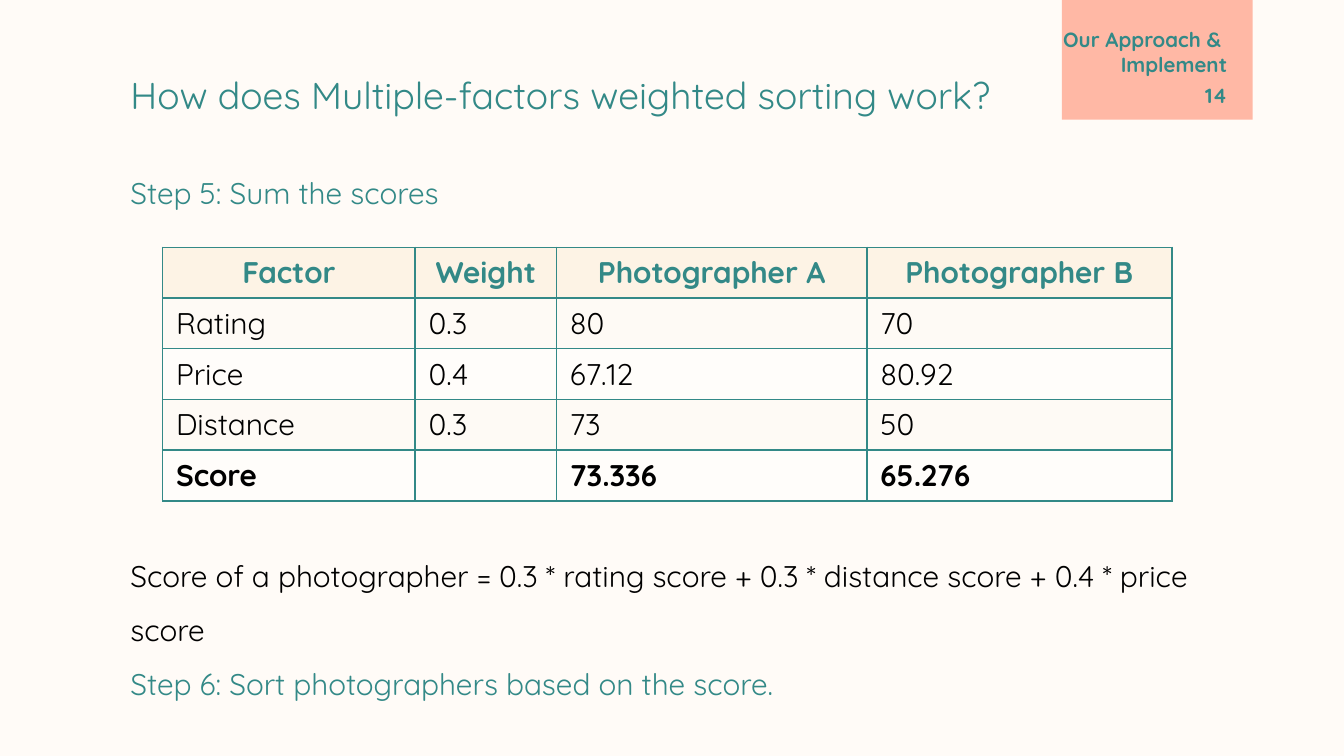
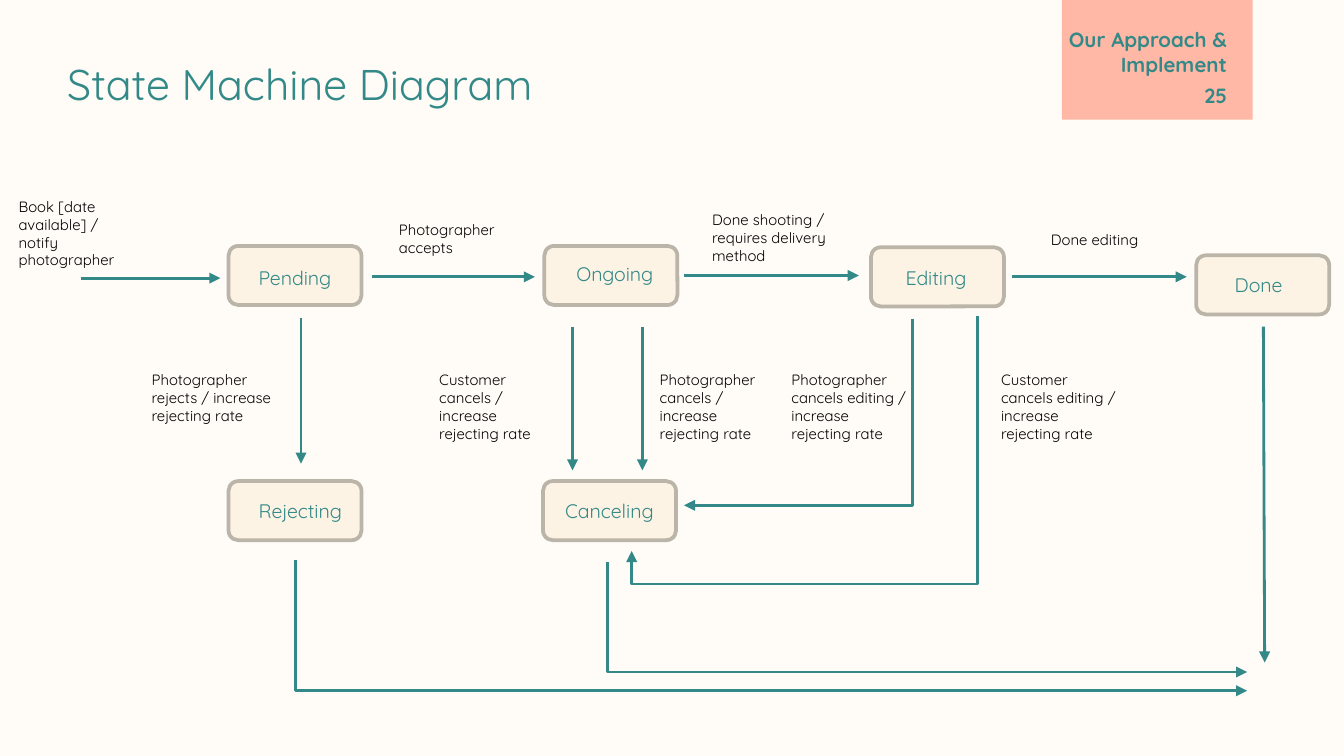
from dataclasses import dataclass

from lxml import etree
from pptx import Presentation
from pptx import util as u
from pptx.dml.color import RGBColor
from pptx.enum import shapes, text
from pptx.oxml.ns import qn

COLORS = {
    "teal": "338987",
    "black": "000000",
    "coral": "FFB8A5",
    "cream": "FDF3E5",
    "paper": "FFFBF7",
    "odd_row": "FEFAF5",
    "even_row": "FFFDFA",
    "outline": "BBB4A9",
}
FONT = "Quicksand"
COLUMNS, ROWS = 100, 56.25  # square grid cells over the whole slide
CELL = u.Inches(10) / COLUMNS
ALIGN = text.PP_ALIGN


@dataclass(frozen=True)
class Area:
    """Left, top, width and height in grid cells."""
    left: float
    top: float
    width: float
    height: float


@dataclass(frozen=True)
class Style:
    size: float
    color: str = "teal"
    bold: bool = False
    align: ALIGN = ALIGN.LEFT


@dataclass(frozen=True)
class State:
    name: str
    left: float
    top: float
    label_left: float
    label_top: float


@dataclass(frozen=True)
class Transition:
    label: str
    left: float
    top: float
    lines: int


@dataclass(frozen=True)
class Arrow:
    start: tuple[float, float]
    end: tuple[float, float]
    bend: float | None = None  # share of the way at which an elbow turns
    upright: bool = False  # an elbow that leaves vertically


TAG = Style(11, bold=True, align=ALIGN.RIGHT)
STATE_LABEL = Style(10.5, align=ALIGN.CENTER)
TRANSITION_LABEL = Style(8, "black")
HEAD_CELL = Style(16, bold=True, align=ALIGN.CENTER)

TABLE_AREA = Area(12.1, 18.4, 75.1, 18.3)
TABLE_COLUMNS = (18.8, 10.5, 23.1, 22.7)
SCORES = (
    ("Factor", "Weight", "Photographer A", "Photographer B"),
    ("Rating", "0.3", "80", "70"),
    ("Price", "0.4", "67.12", "80.92"),
    ("Distance", "0.3", "73", "50"),
    ("Score", "", "73.336", "65.276"),
)
# Text, colour, line spacing, points of space before
STEPS = (
    ("Step 5: Sum the scores", "teal", 1.15, 0),
    ("Score of a photographer = 0.3 * rating score + 0.3 * distance score"
     " + 0.4 * price score", "black", 1.5, 176.5),
    ("Step 6: Sort photographers based on the score.", "teal", 1.5, 0),
)
STATES = (
    State("Pending", 17, 18.3, 16.9, 19.3),
    State("Ongoing", 40.5, 18.3, 40.7, 19),
    State("Editing", 64.8, 18.4, 64.6, 19.3),
    State("Done", 89, 19, 88.6, 19.8),
    State("Rejecting", 17, 35.8, 17.3, 36.6),
    State("Canceling", 40.4, 35.8, 40.3, 36.6),
)
ARROWS = (
    # Along the main row
    Arrow((6, 20.7), (16.4, 20.7)),
    Arrow((27.7, 20.6), (39.8, 20.6)),
    Arrow((50.9, 20.5), (63.9, 20.5)),
    Arrow((75.3, 20.6), (88.3, 20.6)),
    # Down from each state
    Arrow((22.4, 23.7), (22.4, 34.5)),
    Arrow((42.6, 24.3), (42.6, 35)),
    Arrow((47.8, 24.3), (47.8, 35)),
    Arrow((94, 24.3), (94.1, 49.3)),
    # Around corners
    Arrow((67.9, 23.7), (50.9, 37.6), bend=0),
    Arrow((72.7, 23.5), (47, 41), bend=1.14, upright=True),
    Arrow((45.2, 41.8), (92.8, 50), bend=0),
    Arrow((22, 41.7), (92.8, 51.4), bend=0),
)
CANCEL_TOP = 27.1
TRANSITIONS = (
    Transition("Book [date available] / notify photographer", 0.4, 14.2, 4),
    Transition("Photographer accepts", 28.7, 15.9, 2),
    Transition("Done shooting / requires delivery method", 52, 15.2, 3),
    Transition("Done editing", 77.2, 16.7, 1),
    Transition("Photographer rejects / increase rejecting rate",
               10.3, CANCEL_TOP, 3),
    Transition("Customer cancels / increase rejecting rate",
               31.7, CANCEL_TOP, 4),
    Transition("Photographer cancels / increase rejecting rate",
               48.1, CANCEL_TOP, 4),
    Transition("Photographer cancels editing / increase rejecting rate",
               57.9, CANCEL_TOP, 4),
    Transition("Customer cancels editing / increase rejecting rate",
               73.5, CANCEL_TOP, 4),
)


def rgb(name: str) -> RGBColor:
    return RGBColor.from_string(COLORS[name])


def cells(count: float) -> u.Emu:
    return u.Emu(round(count * CELL))


def bounds(area: Area) -> tuple:
    return tuple(map(cells, (area.left, area.top, area.width, area.height)))


# Text

def format_para(para, style: Style) -> None:
    para.alignment = style.align
    for span in para.runs:
        span.font.name = FONT
        span.font.size = u.Pt(style.size)
        span.font.bold = style.bold
        span.font.color.rgb = rgb(style.color)
    if not para.runs:
        etree.SubElement(para._p, qn("a:endParaRPr"),
                         sz=str(round(style.size * 100)))


def write(box, words: str, style: Style, inset: float = 0.5,
          anchor=text.MSO_ANCHOR.TOP) -> None:
    frame = box.text_frame
    frame.paragraphs[0].text = words
    frame.word_wrap = True
    frame.auto_size = text.MSO_AUTO_SIZE.NONE
    frame.vertical_anchor = anchor
    frame.margin_left = frame.margin_right = cells(1)
    frame.margin_top = frame.margin_bottom = cells(inset)
    format_para(frame.paragraphs[0], style)


def place(box, area: Area) -> None:
    box.left, box.top, box.width, box.height = bounds(area)


def add_label(page, area: Area, words: str, style: Style, **options) -> None:
    write(page.shapes.add_textbox(*bounds(area)), words, style, **options)


# Shapes and lines

def add_block(page, kind, area: Area, fill: str, outline: str | None = None):
    block = page.shapes.add_shape(kind, *bounds(area))
    block.shadow.inherit = False
    block.fill.solid()
    block.fill.fore_color.rgb = rgb(fill)
    if outline:
        block.line.color.rgb = rgb(outline)
        block.line.width = u.Pt(2)
    else:
        block.line.fill.background()
    return block


def add_arrow(page, arrow: Arrow) -> None:
    (x1, y1), (x2, y2) = arrow.start, arrow.end
    if arrow.upright:  # lay the path flat, then turn it about its centre
        mid_x, mid_y = (x1 + x2) / 2, (y1 + y2) / 2
        half_x, half_y = (x1 - x2) / 2, (y1 - y2) / 2
        x1, y1 = mid_x + half_y, mid_y - half_x
        x2, y2 = mid_x - half_y, mid_y + half_x
    kind = shapes.MSO_CONNECTOR
    line = page.shapes.add_connector(
        kind.STRAIGHT if arrow.bend is None else kind.ELBOW,
        *map(cells, (x1, y1, x2, y2)))
    line.line.color.rgb = rgb("teal")
    line.line.width = u.Pt(1.5)
    props = line.element.spPr
    if arrow.upright:
        props.find(qn("a:xfrm")).set("rot", str(90 * 60000))
    if arrow.bend is not None:
        guides = props.find(qn("a:prstGeom")).find(qn("a:avLst"))
        etree.SubElement(guides, qn("a:gd"), name="adj1",
                         fmla=f"val {round(arrow.bend * 100000)}")
    etree.SubElement(props.find(qn("a:ln")), qn("a:tailEnd"), type="triangle")
    etree.SubElement(props, qn("a:effectLst"))


def border_cell(cell) -> None:
    props = cell._tc.get_or_add_tcPr()
    for side in "LRTB":
        edge = etree.SubElement(props, qn(f"a:ln{side}"), w=str(u.Pt(1)))
        fill = etree.SubElement(edge, qn("a:solidFill"))
        etree.SubElement(fill, qn("a:srgbClr"), val=COLORS["teal"])


# Parts that the slides share

def dress_master(deck, page) -> None:
    master = deck.slide_master
    master.background.fill.solid()
    master.background.fill.fore_color.rgb = rgb("paper")
    band = add_block(page, shapes.MSO_SHAPE.RECTANGLE,
                     Area(79, 0, 14.2, 8.9), "coral")
    band.element.nvSpPr.cNvPr.set("id", "99")
    master.element.cSld.spTree.insert(2, band.element)


def add_page(deck, layout: int, heading: str, area: Area, size: float,
             section: str, section_area: Area, number: int):
    page = deck.slides.add_slide(deck.slide_layouts[layout])
    place(page.shapes.title, area)
    write(page.shapes.title, heading, Style(size))
    add_label(page, section_area, section, TAG, inset=1,
              anchor=text.MSO_ANCHOR.BOTTOM)
    add_label(page, Area(86.3, 5.2, 6, 4.3), str(number), TAG, inset=1)
    return page


# Slide content

def add_steps(page) -> None:
    body = page.placeholders[1]
    place(body, Area(7, 11.6, 85.2, 43.7))
    for index, (words, color, spacing, before) in enumerate(STEPS):
        if index == 0:
            write(body, words, Style(16, color), inset=1)
            para = body.text_frame.paragraphs[0]
        else:
            para = body.text_frame.add_paragraph()
            para.text = words
            format_para(para, Style(16, color))
        para.line_spacing = spacing
        para.space_before = u.Pt(before)
        para.space_after = u.Pt(0)
        props = para._p.get_or_add_pPr()
        props.set("marL", str(cells(1.7)))
        props.set("indent", "0")
        etree.SubElement(props, qn("a:buNone"))


def add_scores(page) -> None:
    table = page.shapes.add_table(
        len(SCORES), len(TABLE_COLUMNS), *bounds(TABLE_AREA)).table
    for column, width in zip(table.columns, TABLE_COLUMNS):
        column.width = cells(width)
    for row, values in enumerate(SCORES):
        table.rows[row].height = cells(TABLE_AREA.height / len(SCORES))
        fill = "odd_row" if row % 2 else "even_row"
        style = Style(16, "black", bold=row == len(SCORES) - 1)
        if row == 0:
            fill, style = "cream", HEAD_CELL
        for column, value in enumerate(values):
            cell = table.cell(row, column)
            cell.text = value
            format_para(cell.text_frame.paragraphs[0], style)
            border_cell(cell)
            cell.fill.solid()
            cell.fill.fore_color.rgb = rgb(fill)


def add_state_machine(page) -> None:
    for state in STATES:
        add_block(page, shapes.MSO_SHAPE.ROUNDED_RECTANGLE,
                  Area(state.left, state.top, 9.9, 4.4), "cream", "outline")
        add_label(page, Area(state.label_left, state.label_top, 10.1, 2.8),
                  state.name, STATE_LABEL)
    for arrow in ARROWS:
        add_arrow(page, arrow)
    for step in TRANSITIONS:
        add_label(page, Area(step.left, step.top, 11, 1 + 1.35 * step.lines),
                  step.label, TRANSITION_LABEL)


def main() -> None:
    deck = Presentation()
    deck.slide_width, deck.slide_height = cells(COLUMNS), cells(ROWS)

    # Weighted sorting
    sorting = add_page(
        deck, 1, "How does Multiple-factors weighted sorting work?",
        Area(8.7, 4.9, 67.9, 6.7), 20,
        "Our Approach & \vImplement", Area(60.9, 1.4, 31.4, 5.3), 14)
    dress_master(deck, sorting)
    add_steps(sorting)
    add_scores(sorting)

    # State machine
    machine = add_page(
        deck, 5, "State Machine Diagram", Area(4, 3.8, 40, 4.9), 23,
        "Our Approach & Implement", Area(74.7, 1.4, 17.6, 5.3), 25)
    add_state_machine(machine)

    deck.save("out.pptx")


if __name__ == "__main__":
    main()
